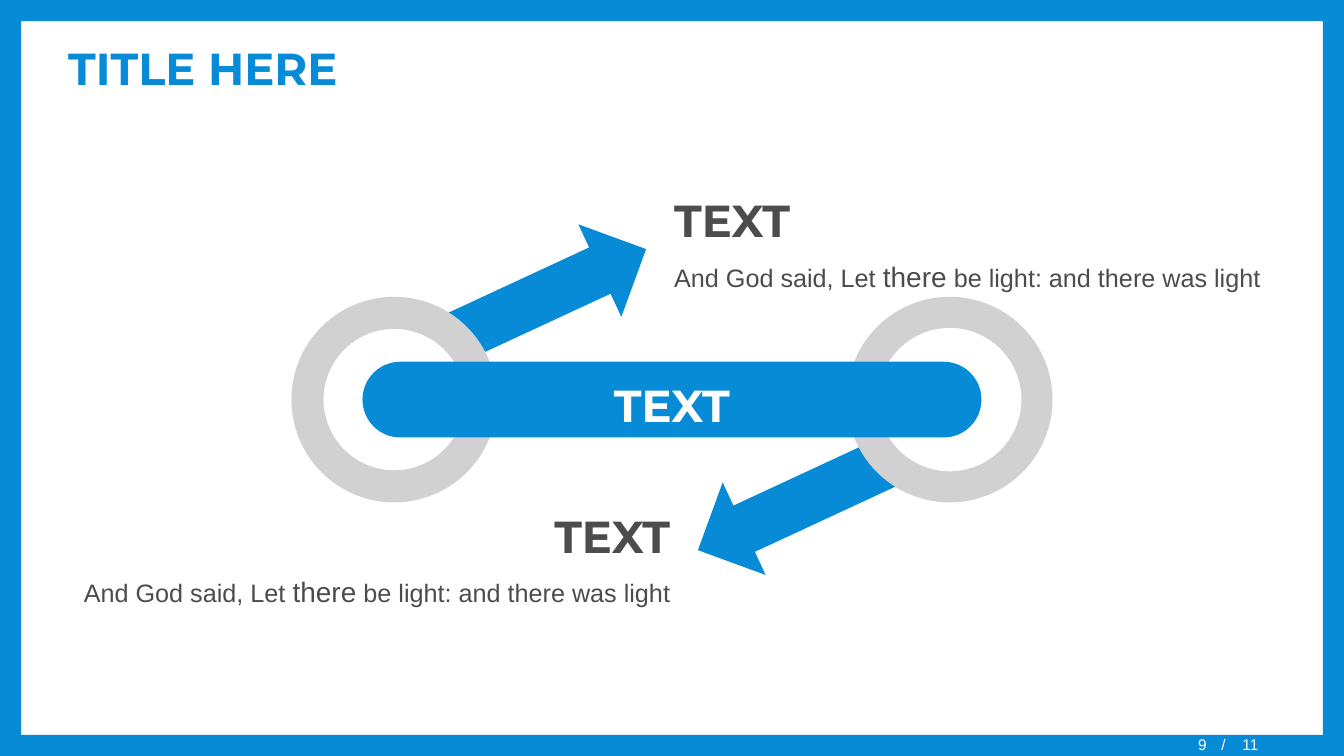
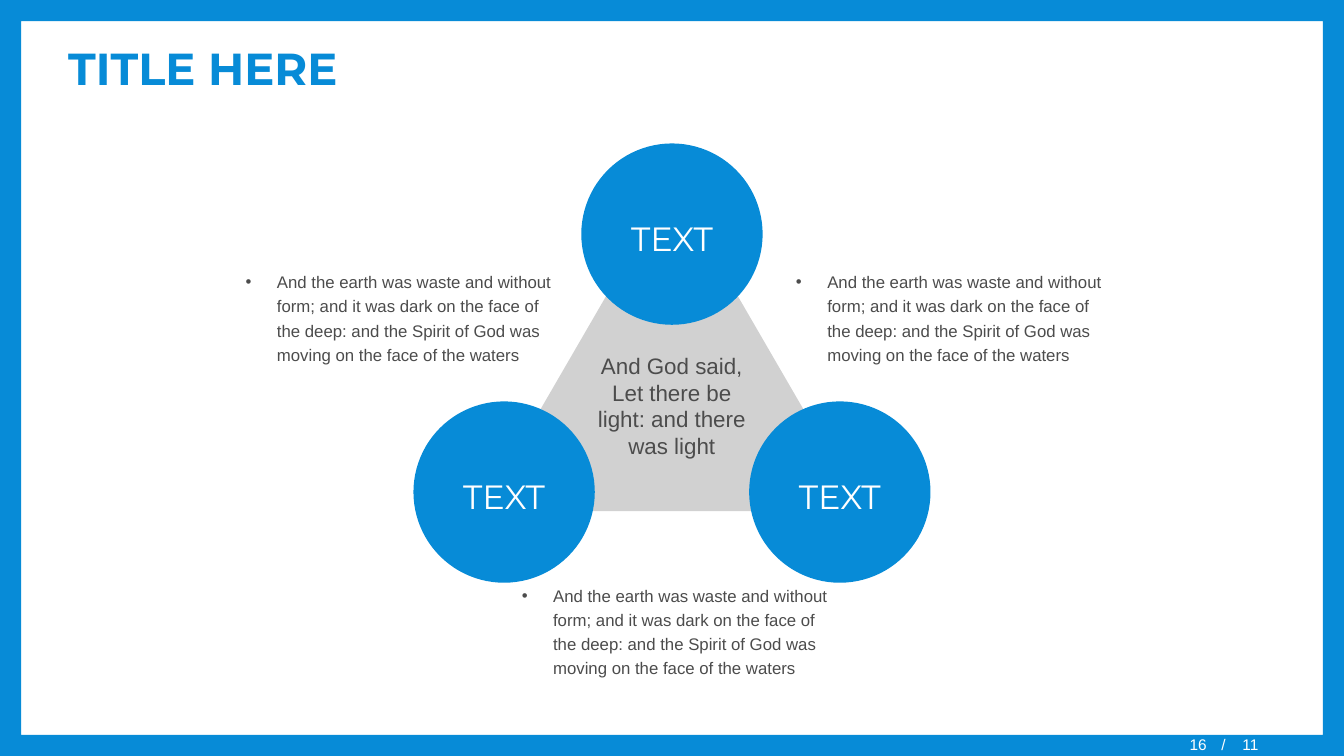
from dataclasses import dataclass, replace

from lxml import etree
from pptx import Presentation
from pptx.dml.color import RGBColor
from pptx.enum.shapes import MSO_SHAPE
from pptx.enum.text import MSO_ANCHOR, MSO_AUTO_SIZE, PP_ALIGN
from pptx.oxml.ns import qn
from pptx.util import Cm, Pt

FRAME, ARROW, RING = MSO_SHAPE.FRAME, MSO_SHAPE.UP_ARROW, MSO_SHAPE.DONUT
PILL, DISC = MSO_SHAPE.ROUNDED_RECTANGLE, MSO_SHAPE.OVAL
TRIANGLE = MSO_SHAPE.ISOSCELES_TRIANGLE
LEFT, CENTER, RIGHT = PP_ALIGN.LEFT, PP_ALIGN.CENTER, PP_ALIGN.RIGHT
TOP, MIDDLE = MSO_ANCHOR.TOP, MSO_ANCHOR.MIDDLE
GROW = MSO_AUTO_SIZE.SHAPE_TO_FIT_TEXT

BLUE, GREY, DARK, WHITE = "078BD7", "D1D1D1", "4C4C4C", "FFFFFF"
HEAD, BODY = "Montserrat", "Arial"
WIDE, HIGH = 33.87, 19.05
MID = WIDE / 2
TOTAL = "11"


@dataclass(frozen=True)
class Box:
    """Left, top, width and height in centimetres."""
    x: float
    y: float
    w: float
    h: float


@dataclass(frozen=True)
class Run:
    text: str
    size: float
    font: str = BODY
    color: str = DARK
    bold: bool = False


@dataclass(frozen=True)
class Para:
    runs: tuple[Run, ...]
    align: int = LEFT
    loose: bool = False
    bullet: bool = False
    tab: float = 0


def rgb(code: str) -> RGBColor:
    return RGBColor.from_string(code)


def around(x: float, y: float, w: float, h: float) -> Box:
    """Box of a given size centred on a point."""
    return Box(x - w / 2, y - h / 2, w, h)


# Text
def write(frame, paras: list[Para], anchor: int = TOP) -> None:
    frame.word_wrap = True
    frame.vertical_anchor = anchor
    for i, para in enumerate(paras):
        line = frame.paragraphs[0] if i == 0 else frame.add_paragraph()
        line.alignment = para.align
        if para.loose:
            line.line_spacing = 1.2
            line.space_before = line.space_after = Pt(2)
        props = line._p.get_or_add_pPr()
        if para.bullet:
            props.set("marL", str(Cm(0.79)))
            props.set("indent", str(-Cm(0.79)))
            etree.SubElement(props, qn("a:buFont")).set("typeface", BODY)
            etree.SubElement(props, qn("a:buChar")).set("char", "•")
        if para.tab:
            tabs = etree.SubElement(props, qn("a:tabLst"))
            stop = etree.SubElement(tabs, qn("a:tab"))
            stop.set("pos", str(Cm(para.tab)))
            stop.set("algn", "l")
        for part in para.runs:
            run = line.add_run()
            run.text = part.text
            run.font.size = Pt(part.size)
            run.font.name = part.font
            run.font.bold = part.bold
            run.font.color.rgb = rgb(part.color)


def add_text(slide, box: Box, paras: list[Para], anchor: int = TOP,
             grow: bool = False):
    shape = slide.shapes.add_textbox(Cm(box.x), Cm(box.y), Cm(box.w), Cm(box.h))
    write(shape.text_frame, paras, anchor)
    if grow:
        shape.text_frame.auto_size = GROW
    return shape


# Shapes
def add_form(slide, kind: int, box: Box, fill: str,
             adjust: float | None = None, turn: float = 0,
             label: Run | None = None) -> None:
    shape = slide.shapes.add_shape(
        kind, Cm(box.x), Cm(box.y), Cm(box.w), Cm(box.h))
    shape.shadow.inherit = False
    shape.fill.solid()
    shape.fill.fore_color.rgb = rgb(fill)
    shape.line.fill.background()
    shape.rotation = turn
    if adjust is not None:
        shape.adjustments[0] = adjust
    if label:
        write(shape.text_frame, [Para((label,), CENTER, loose=True)], MIDDLE)


# Parts shared by all slides
def add_slide(deck, title: str, number: str):
    slide = deck.slides.add_slide(deck.slide_layouts[6])
    add_form(slide, FRAME, Box(0, 0, WIDE, HIGH), BLUE, 0.028)
    head = Run(title, 32, HEAD, BLUE, True)
    add_text(slide, Box(1.47, 0.71, 30.94, 2.01), [Para((head,))], MIDDLE)
    small = Run("/\t" + TOTAL, 11, color=WHITE)
    add_text(slide, Box(30.53, 18.54, 3.33, 0.46),
             [Para((small,), tab=0.53)], MIDDLE)
    page = add_text(slide, Box(24.08, 18.59, 6.58, 0.46),
                    [Para((replace(small, text=number),), RIGHT)], MIDDLE)
    page.text_frame.margin_top = 0
    page.text_frame.margin_bottom = Cm(0.13)
    return slide


# Two rings joined by a bar, with an arrow out of each
def draw_link(deck) -> None:
    slide = add_slide(deck, "TITLE HERE", "9")
    mid_y = 10.07
    sides = ((-1, 0.156), (1, 0.151))
    for side, _ in sides:
        add_form(slide, ARROW,
                 around(MID + side * 3.07, mid_y + side * 2.67, 2.57, 5.33),
                 BLUE, turn=65.1 if side < 0 else 245.1)
    for side, rim in sides:
        add_form(slide, RING, around(MID + side * 7, mid_y, 5.18, 5.18),
                 GREY, rim)
    head = Run("TEXT", 32, HEAD, DARK, True)
    add_form(slide, PILL, around(MID, mid_y, 15.6, 1.91), BLUE, 0.5,
             label=replace(head, color=WHITE))
    verse = (Run("And God said, Let ", 18), Run("there", 20),
             Run(" be light: and there was light", 18))
    for x, y, align in ((16.74, 4.47, LEFT), (1.47, 12.42, RIGHT)):
        add_text(slide, Box(x, y, 15.67, 3.07),
                 [Para((head,), align, True), Para(verse, align, True)],
                 grow=True)


# A triangle with a disc on each corner
def draw_triad(deck) -> None:
    slide = add_slide(deck, "TITLE HERE", "16")
    add_form(slide, TRIANGLE, Box(MID - 4.8, 4.6, 9.6, 8.28), GREY)
    for shift, y in ((0, 5.9), (-4.23, 12.4), (4.23, 12.4)):
        add_form(slide, DISC, around(MID + shift, y, 4.57, 4.57), BLUE,
                 label=Run("TEXT", 24, HEAD, WHITE))
    core = Run("And God said, Let there be light: and there was light", 16)
    add_text(slide, Box(14.58, 8.74, 4.7, 3), [Para((core,), CENTER)],
             grow=True)
    note = Run("And the earth was waste and without form; and it was dark on "
               "the face of the deep: and the Spirit of God was moving on the "
               "face of the waters", 12)
    for x, y in ((5.94, 6.63), (19.81, 6.63), (12.9, 14.53)):
        add_text(slide, Box(x, y, 8.23, 2.72),
                 [Para((note,), loose=True, bullet=True)], grow=True)


def main() -> None:
    deck = Presentation()
    deck.slide_width, deck.slide_height = Cm(WIDE), Cm(HIGH)
    draw_link(deck)
    draw_triad(deck)
    deck.save("out.pptx")


if __name__ == "__main__":
    main()
